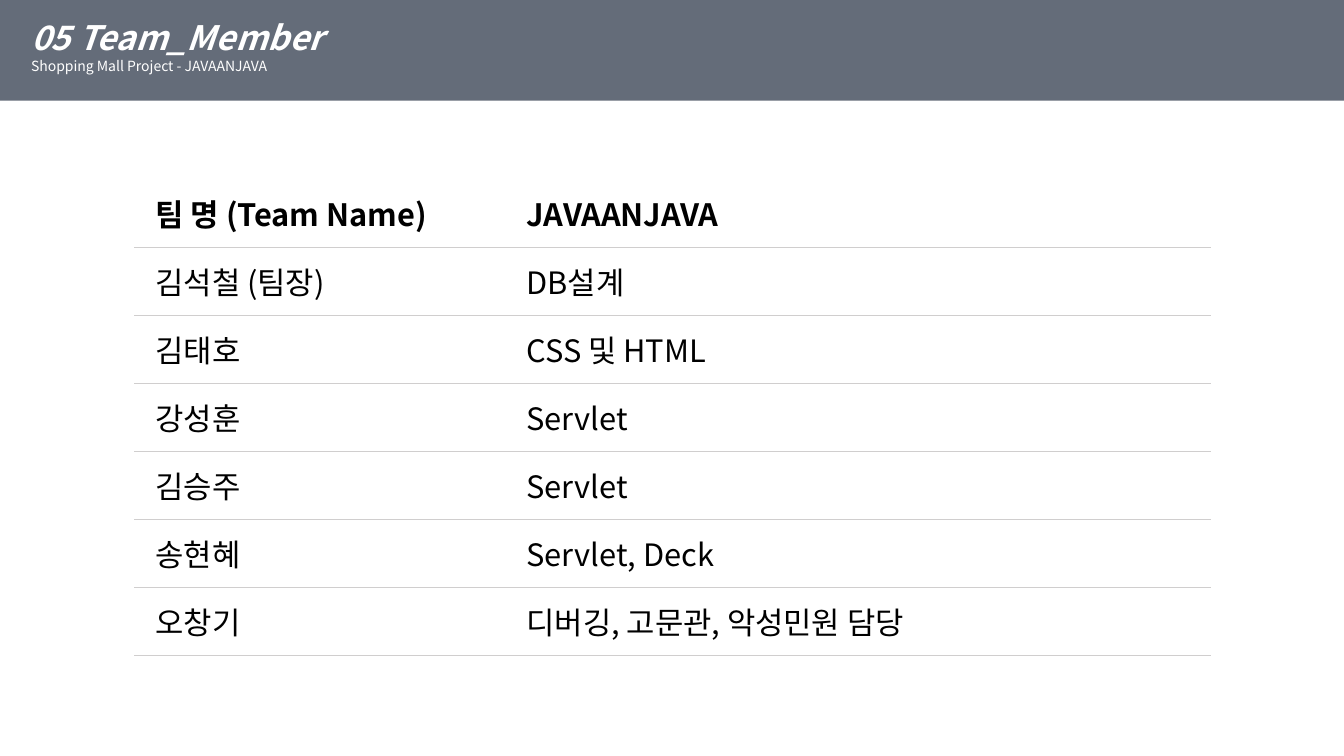
from lxml.etree import SubElement
from pptx import Presentation
from pptx.dml.color import RGBColor
from pptx.enum.shapes import MSO_SHAPE
from pptx.enum.text import MSO_ANCHOR
from pptx.oxml.ns import qn
from pptx.util import Inches, Pt

WIDE, HIGH = 13.33, 7.5
FONT = "Noto Sans CJK KR"
HUES = {"band": "646C79", "line": "D0CECE", "ink": "000000", "paper": "FFFFFF"}
TITLE = "05 Team_Member"
NOTE = "Shopping Mall Project - JAVAANJAVA"
TEAM = [
    ("팀 명 (Team Name)", "JAVAANJAVA"),
    ("김석철 (팀장)", "DB설계"),
    ("김태호", "CSS 및 HTML"),
    ("강성훈", "Servlet"),
    ("김승주", "Servlet"),
    ("송현혜", "Servlet, Deck"),
    ("오창기", "디버깅, 고문관, 악성민원 담당"),
]


def across(share):
    """Turn a share of the slide's width into a length."""
    return Inches(WIDE * share)


def down(share):
    """Turn a share of the slide's height into a length."""
    return Inches(HIGH * share)


def style(para, size, hue, bold=False, slant=False):
    """Format every run of a paragraph, Korean glyphs included."""
    for run in para.runs:
        font = run.font
        font.name, font.size = FONT, Pt(size)
        font.bold, font.italic = bold, slant
        font.color.rgb = RGBColor.from_string(HUES[hue])
        SubElement(run._r.get_or_add_rPr(), qn("a:ea"), typeface=FONT)


def edge(cell, side, hue=None):
    """Draw one cell border, or clear it when no hue is given."""
    line = SubElement(cell._tc.get_or_add_tcPr(), qn("a:ln" + side), w=str(Pt(1)))
    if hue:
        fill = SubElement(line, qn("a:solidFill"))
        SubElement(fill, qn("a:srgbClr"), val=HUES[hue])
    else:
        SubElement(line, qn("a:noFill"))


def fill_cell(cell, text, head):
    """Write one table cell with a rule below it."""
    cell.text_frame.text = text
    style(cell.text_frame.paragraphs[0], 22, "ink", bold=head)
    cell.vertical_anchor = MSO_ANCHOR.MIDDLE
    cell.margin_left, cell.margin_right = Inches(0.21), Inches(0.07)
    cell.margin_top = cell.margin_bottom = Inches(0.04)
    edge(cell, "L")
    edge(cell, "R")
    edge(cell, "T", None if head else "line")
    edge(cell, "B", "line")
    cell.fill.background()


def add_team(slide):
    """Add the table of members and their tasks."""
    rows = len(TEAM)
    table = slide.shapes.add_table(
        rows, 2, across(0.1), down(0.237), across(0.8), down(0.09 * rows)
    ).table
    table.horz_banding = False
    table.first_row = False
    for col, share in zip(table.columns, (0.276, 0.525)):
        col.width = across(share)
    for i, pair in enumerate(TEAM):
        for j, text in enumerate(pair):
            fill_cell(table.cell(i, j), text, head=i == 0)


def add_band(slide):
    """Add the top band with the title and the project line."""
    group = slide.shapes.add_group_shape()
    band = group.shapes.add_shape(MSO_SHAPE.RECTANGLE, 0, 0, across(1), Inches(1))
    band.shadow.inherit = False
    band.fill.solid()
    band.fill.fore_color.rgb = RGBColor.from_string(HUES["band"])
    band.line.fill.background()
    box = group.shapes.add_textbox(Inches(0.21), Inches(0.12), across(0.97), down(0.09))
    frame = box.text_frame
    frame.word_wrap = True
    frame.text = TITLE
    style(frame.paragraphs[0], 24, "paper", bold=True, slant=True)
    note = frame.add_paragraph()
    note.text = NOTE
    style(note, 10, "paper")


def main():
    """Build the slide and save it."""
    deck = Presentation()
    deck.slide_width, deck.slide_height = across(1), down(1)
    slide = deck.slides.add_slide(deck.slide_layouts[6])
    add_team(slide)
    add_band(slide)
    deck.save("out.pptx")


main()
